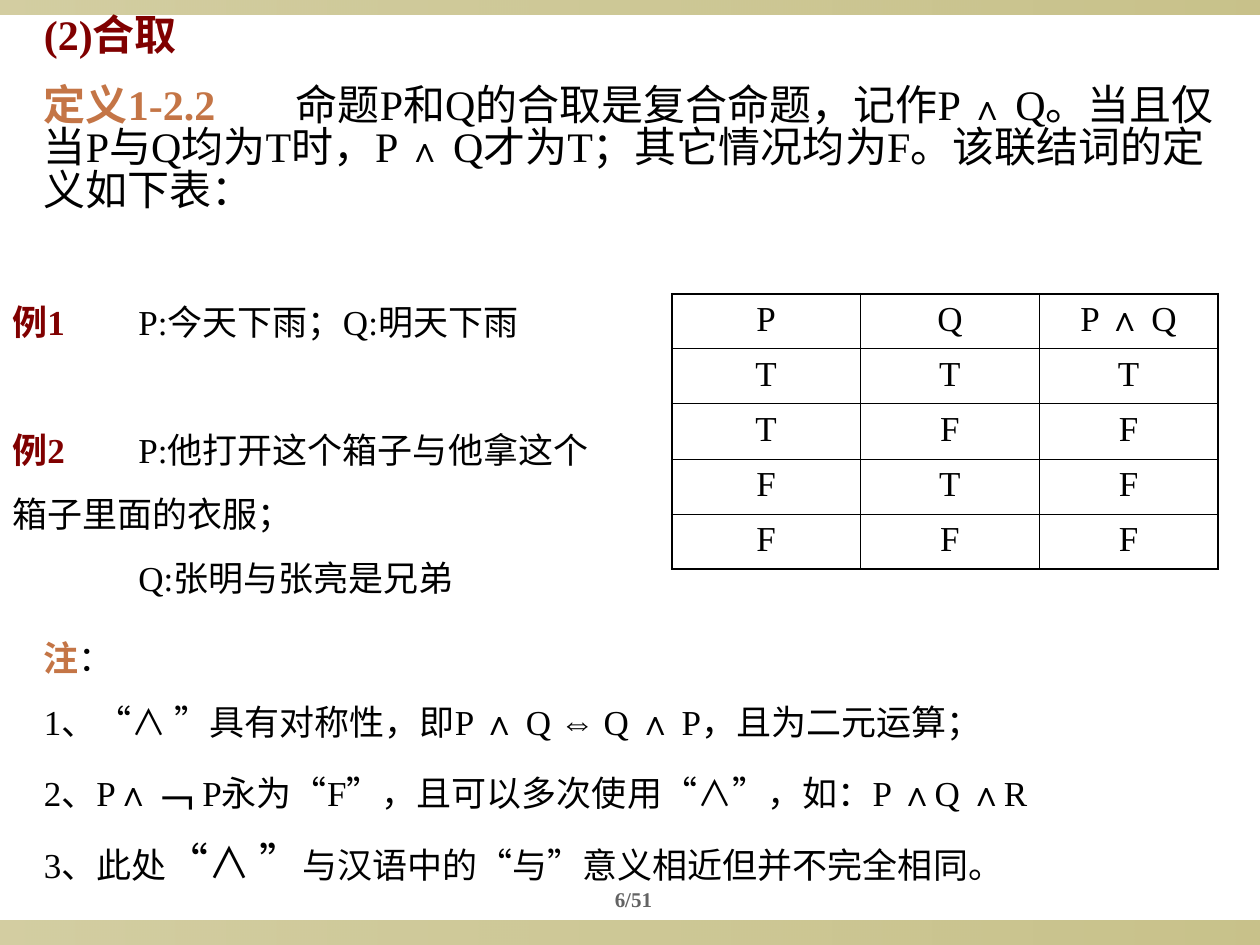
"""Build the slide that defines logical conjunction."""
from lxml.etree import SubElement
from pptx import Presentation
from pptx.dml.color import RGBColor
from pptx.enum.shapes import MSO_SHAPE
from pptx.enum.text import MSO_ANCHOR, MSO_AUTO_SIZE, PP_ALIGN
from pptx.oxml.ns import qn
from pptx.util import Cm, Pt

HUES = {"ink": "000000", "red": "800000", "tan": "C47546",
        "grey": "636363", "bar": "918415"}
SERIF = "Times New Roman"
STYLES = {
    "head": (24, "red", True, SERIF),
    "term": (24, "tan", True, SERIF),
    "big": (24, "ink", False, SERIF),
    "text": (20, "ink", False, SERIF),
    "sign": (20, "ink", False, "Arial"),
    "case": (20, "red", True, SERIF),
    "note": (20, "tan", True, SERIF),
    "page": (12, "grey", True, SERIF),
}

INTRO = [
    (0, [("(2)合取", "head")]),
    (15, [("定义1-2.2\t", "term"), ("命题P和Q的合取是复合命题，记作P ", "big"),
          ("∧", "text"), (" Q。当且仅当P与Q均为T时，P ", "big"), ("∧", "text"),
          (" Q才为T；其它情况均为F。该联结词的定义如下表：", "big")]),
]
CASES = [
    (0, [("例1\t", "case"), ("P:今天下雨；Q:明天下雨", "text")]),
    (49, [("例2\t", "case"), ("P:他打开这个箱子与他拿这个", "text")]),
    (12.5, [("箱子里面的衣服；", "text")]),
    (12.5, [("\tQ:张明与张亮是兄弟", "text")]),
]
NOTES = [
    (0, [("注", "note"), ("：", "text")]),
    (12.5, [("1、“∧ ”具有对称性，即P ∧ Q ", "text"), ("⇔", "sign"),
            (" Q ∧ P，且为二元运算；", "text")]),
    (12.5, [("2、P∧", "text"), ("﹁ ", "big"),
            ("P永为“F”，且可以多次使用“∧”，如：P ∧Q ∧R", "text")]),
    (12.5, [("3、此处", "text"), ("“∧ ”", "big"),
            ("与汉语中的“与”意义相近但并不完全相同。", "text")]),
]
PAGE = [(0, [("6/51", "page")])]
TRUTH = [("P", "Q", "P ∧ Q"), ("T", "T", "T"), ("T", "F", "F"),
         ("F", "T", "F"), ("F", "F", "F")]
WIDTHS = (3.81, 3.6, 3.6)
ROW = 1.11
TAB = 2.54
BARS = [(18.55, 0.5), (0, 0.3)]


def place(shape, box):
    shape.left, shape.top, shape.width, shape.height = map(Cm, box)


def write(frame, paras, align=PP_ALIGN.LEFT, pitch=1.0):
    for num, (gap, runs) in enumerate(paras):
        para = frame.add_paragraph() if num else frame.paragraphs[0]
        para.alignment, para.line_spacing = align, pitch
        para.space_before = Pt(gap)
        props = para._p.get_or_add_pPr()
        for name, value in (("marL", 0), ("indent", 0), ("defTabSz", Cm(TAB))):
            props.set(name, str(value))
        SubElement(props, qn("a:buNone"))
        tabs = SubElement(props, qn("a:tabLst"))
        for step in range(8):
            SubElement(tabs, qn("a:tab"), pos=str(Cm(TAB * step)), algn="l")
        for text, style in runs:
            run = para.add_run()
            run.text = text
            size, hue, bold, face = STYLES[style]
            font = run.font
            font.size, font.bold, font.name = Pt(size), bold, face
            font.color.rgb = RGBColor.from_string(HUES[hue])


def fit(shape, box, paras, anchor=MSO_ANCHOR.TOP, **look):
    place(shape, box)
    frame = shape.text_frame
    frame.word_wrap, frame.auto_size = True, MSO_AUTO_SIZE.NONE
    frame.vertical_anchor = anchor
    write(frame, paras, **look)


def add_bar(slide, top, high):
    bar = slide.shapes.add_shape(
        MSO_SHAPE.RECTANGLE, 0, Cm(top), Cm(25.4), Cm(high))
    bar.shadow.inherit = False
    bar.line.fill.background()
    bar.fill.gradient()
    bar.fill.gradient_angle = 0
    for stop in bar.fill.gradient_stops:
        stop.color.rgb = RGBColor.from_string(HUES["bar"])
    tints = bar._element.spPr.iter(qn("a:srgbClr"))
    for tint, alpha in zip(tints, (40, 50)):
        SubElement(tint, qn("a:alpha"), val=str(alpha * 1000))


def edge(cell, sides):
    props = cell._tc.get_or_add_tcPr()
    for side, outer in sides:
        width = Pt(1.08 if outer else 0.45)
        line = SubElement(props, qn("a:ln" + side), w=str(width))
        fill = SubElement(line, qn("a:solidFill"))
        SubElement(fill, qn("a:srgbClr"), val=HUES["ink"])


def add_truth(slide):
    rows, cols = len(TRUTH), len(WIDTHS)
    table = slide.shapes.add_table(
        rows, cols, Cm(13.54), Cm(5.92), Cm(sum(WIDTHS)), Cm(ROW * rows)).table
    table.first_row = table.horz_banding = False
    for col, width in zip(table.columns, WIDTHS):
        col.width = Cm(width)
    for r, marks in enumerate(TRUTH):
        table.rows[r].height = Cm(ROW)
        for c, mark in enumerate(marks):
            cell = table.cell(r, c)
            edge(cell, [("L", c == 0), ("R", c == cols - 1),
                        ("T", r == 0), ("B", r == rows - 1)])
            cell.fill.background()
            write(cell.text_frame, [(0, [(mark, "text")])], PP_ALIGN.CENTER)


def main():
    deck = Presentation()
    deck.slide_width, deck.slide_height = Cm(25.4), Cm(19.05)
    slide = deck.slides.add_slide(deck.slide_layouts[1])
    for top, high in BARS:
        add_bar(slide, top, high)
    title, body = slide.placeholders
    fit(title, (0.63, 0.21, 24.13, 4.24), INTRO, pitch=0.85)
    fit(body, (0.63, 12.7, 24.13, 5.31), NOTES)
    add_truth(slide)
    for box, paras, look in [
        ((0, 5.94, 12.7, 6.25), CASES, {}),
        ((11.5, 17.73, 2.54, 0.79), PAGE,
         {"anchor": MSO_ANCHOR.MIDDLE, "align": PP_ALIGN.CENTER}),
    ]:
        fit(slide.shapes.add_textbox(0, 0, 0, 0), box, paras, **look)
    deck.save("out.pptx")


if __name__ == "__main__":
    main()
